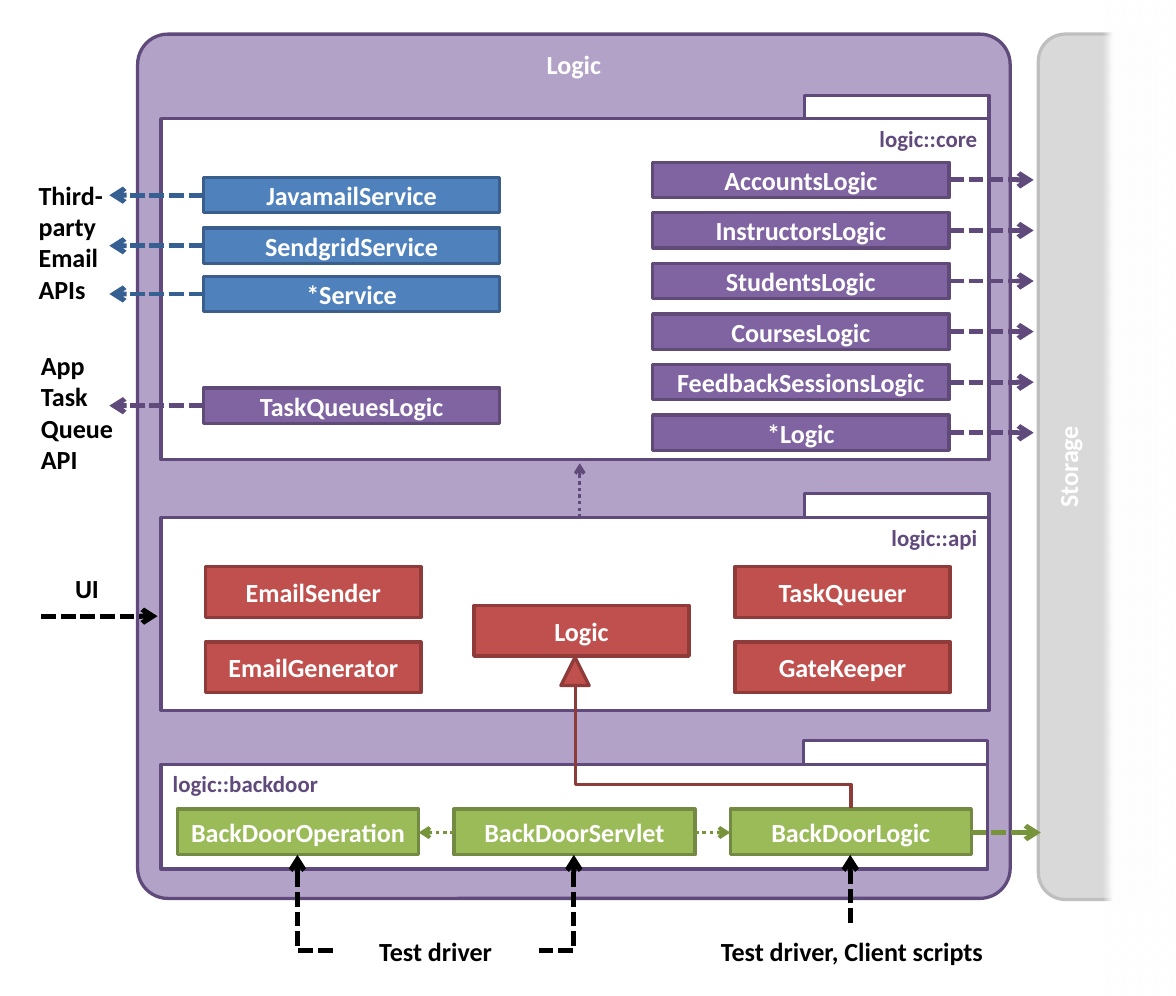
from lxml import etree
from pptx import Presentation
from pptx.dml.color import RGBColor
from pptx.enum.dml import MSO_LINE
from pptx.enum.shapes import MSO_CONNECTOR, MSO_SHAPE
from pptx.enum.text import MSO_ANCHOR, PP_ALIGN
from pptx.oxml.ns import qn
from pptx.util import Emu, Pt

PX = 9144  # 100 px to the inch
FONT = "Calibri"

WHITE = RGBColor(0xFF, 0xFF, 0xFF)
BLACK = RGBColor(0, 0, 0)
LILAC = RGBColor(0xB3, 0xA2, 0xC7)
DEEP_PURPLE = RGBColor(0x60, 0x4A, 0x7B)
STORAGE_GRAY = RGBColor(0xD9, 0xD9, 0xD9)
STORAGE_EDGE = RGBColor(0xBF, 0xBF, 0xBF)
SERVICE_ARROW = RGBColor(0x37, 0x60, 0x92)
GREEN_ARROW = RGBColor(0x77, 0x93, 0x3C)
RED_EDGE = RGBColor(0x8E, 0x3B, 0x39)

# (fill, outline) of each kind of class box
PURPLE = (RGBColor(0x80, 0x64, 0xA2), RGBColor(0x5F, 0x4A, 0x78))
BLUE = (RGBColor(0x4F, 0x81, 0xBD), RGBColor(0x3A, 0x5F, 0x8C))
RED = (RGBColor(0xC0, 0x50, 0x4D), RED_EDGE)
GREEN = (RGBColor(0x9B, 0xBB, 0x59), RGBColor(0x73, 0x8A, 0x42))
PACKAGE = (WHITE, DEEP_PURPLE)

RECT, ROUNDED = MSO_SHAPE.RECTANGLE, MSO_SHAPE.ROUNDED_RECTANGLE
TRIANGLE = MSO_SHAPE.ISOSCELES_TRIANGLE
STRAIGHT, ELBOW = MSO_CONNECTOR.STRAIGHT, MSO_CONNECTOR.ELBOW
DASH, DOT = MSO_LINE.SQUARE_DOT, MSO_LINE.ROUND_DOT
LEFT, CENTER, RIGHT = PP_ALIGN.LEFT, PP_ALIGN.CENTER, PP_ALIGN.RIGHT
TOP, MIDDLE = MSO_ANCHOR.TOP, MSO_ANCHOR.MIDDLE


def px(*lengths):
    return [Emu(length * PX) for length in lengths]


def write(shape, text, color, size=16, align=CENTER, anchor=MIDDLE):
    frame = shape.text_frame
    frame.word_wrap = True
    frame.vertical_anchor = anchor
    frame.text = text
    for paragraph in frame.paragraphs:
        paragraph.alignment = align
        font = paragraph.font
        font.name, font.size, font.bold = FONT, Pt(size), True
        font.color.rgb = color


def block(slide, box, colors, kind=RECT):
    shape = slide.shapes.add_shape(kind, *px(*box))
    shape.shadow.inherit = False
    shape.fill.solid()
    shape.fill.fore_color.rgb, shape.line.color.rgb = colors
    shape.line.width = Pt(2)
    return shape


def class_box(slide, box, name, colors):
    write(block(slide, box, colors), name, WHITE)


def label(slide, box, text, align=LEFT):
    write(slide.shapes.add_textbox(*px(*box)), text, BLACK, align=align)


def link(slide, start, end, color, width=3, dash=DASH, arrow=True, kind=STRAIGHT):
    line = slide.shapes.add_connector(kind, *px(*start, *end))
    line.line.color.rgb = color
    line.line.width = Pt(width)
    if dash:
        line.line.dash_style = dash
    if arrow:
        etree.SubElement(line.line._get_or_add_ln(), qn("a:tailEnd"), type="arrow")
    etree.SubElement(line._element.spPr, qn("a:effectLst"))
    return line


def package(slide, box, name, align=RIGHT):
    """A UML package: a titled body with a tab above its right corner."""
    left, top, width, _ = box
    write(block(slide, box, PACKAGE), name, DEEP_PURPLE, 14, align, TOP)
    block(slide, (left + width - 157, top - 20, 157, 20), PACKAGE)


def logic_component(slide, box):
    body = block(slide, box, (LILAC, DEEP_PURPLE), ROUNDED)
    body.adjustments[0] = 0.035
    write(body, "Logic", WHITE, anchor=TOP)


def storage_component(slide, box):
    """The neighbouring component, fading out on its right half."""
    left, top, width, height = box
    body = block(slide, box, (STORAGE_GRAY, STORAGE_EDGE), ROUNDED)
    body.adjustments[0] = 0.23
    write(body, "Storage", WHITE, anchor=TOP)
    body.text_frame._txBody.bodyPr.set("vert", "vert270")

    fade = slide.shapes.add_shape(RECT, *px(left + width // 2, top - 57, 67, height + 148))
    fade.shadow.inherit = False
    fade.line.fill.background()
    fade.fill.gradient()
    fade.fill.gradient_angle = 0
    stops = fade.fill.gradient_stops
    for stop, position in zip(stops, (0.07, 0.2)):
        stop.color.rgb = WHITE
        stop.position = position
    clear = stops[0]._gs.find(qn("a:srgbClr"))
    etree.SubElement(clear, qn("a:alpha"), val="0")


def core_package(slide, box):
    left, top = box[:2]
    package(slide, box, "logic::core")
    width, height = 252, 30
    middle = height // 2

    entities = ("Accounts", "Instructors", "Students", "Courses", "FeedbackSessions", "*")
    x = left + 418
    for row, entity in enumerate(entities):
        y = top + 37 + row * 43
        class_box(slide, (x, y, width, height), entity + "Logic", PURPLE)
        link(slide, (x + width, y + middle), (x + width + 72, y + middle), DEEP_PURPLE)

    outgoing = (
        (50, "JavamailService", BLUE, SERVICE_ARROW),
        (93, "SendgridService", BLUE, SERVICE_ARROW),
        (134, "*Service", BLUE, SERVICE_ARROW),
        (229, "TaskQueuesLogic", PURPLE, DEEP_PURPLE),
    )
    x = left + 36
    for offset, name, colors, arrow in outgoing:
        y = top + offset
        class_box(slide, (x, y, width, height), name, colors)
        link(slide, (x, y + middle), (x - 80, y + middle), arrow)

    label(slide, (left - 114, top + 81, 85, 47), "Third-party Email\nAPIs")
    label(slide, (left - 112, top + 226, 85, 47), "App\nTask\nQueue\nAPI")


def api_package(slide, box):
    left, top = box[:2]
    package(slide, box, "logic::api")
    facades = (
        (38, 42, "EmailSender"),
        (38, 106, "EmailGenerator"),
        (266, 75, "Logic"),
        (488, 42, "TaskQueuer"),
        (488, 106, "GateKeeper"),
    )
    for x, y, name in facades:
        class_box(slide, (left + x, top + y, 183, 43), name, RED)
    link(slide, (left + 356, top), (left + 356, top - 46), DEEP_PURPLE, 2, DOT)
    label(slide, (left - 110, top + 37, 67, 47), "UI", RIGHT)
    link(slide, (left - 102, top + 84), (left - 3, top + 84), BLACK)


def backdoor_package(slide, box):
    left, top = box[:2]
    package(slide, box, "logic::backdoor", LEFT)
    y, width, height = top + 38, 205, 39
    operation, servlet, logic = (left + 14 + column * 235 for column in range(3))
    names = ("BackDoorOperation", "BackDoorServlet", "BackDoorLogic")
    for x, name in zip((operation, servlet, logic), names):
        class_box(slide, (x, y, width, height), name, GREEN)

    middle = y + 20
    link(slide, (servlet, middle), (operation + width, middle), GREEN_ARROW, 2.25, DOT)
    link(slide, (servlet + width, middle), (logic, middle), GREEN_ARROW, 2.25, DOT)
    link(slide, (logic + width, middle), (logic + width + 59, middle), GREEN_ARROW)

    # Inheritance from BackDoorLogic up to Logic
    block(slide, (left + 340, top - 91, 24, 24), RED, TRIANGLE)
    inherits = link(slide, (left + 522, top - 132), (left + 417, top + 102),
                    RED_EDGE, 2.25, None, False, ELBOW)
    inherits._element.spPr.find(qn("a:xfrm")).set("rot", "16200000")
    guides = inherits._element.spPr.find(qn("a:prstGeom")).get_or_add_avLst()
    etree.SubElement(guides, qn("a:gd"), name="adj1", fmla="val 80600")

    # Callers below the package
    bottom, caller = y + height, y + 120
    label(slide, (left + 146, top + 135, 175, 47), "Test driver", CENTER)
    for start, target in ((left + 146, operation), (left + 321, servlet)):
        call = link(slide, (start, caller), (target + 102, bottom), BLACK, kind=ELBOW)
        call._element.spPr.find(qn("a:prstGeom")).set("prst", "bentConnector2")
    label(slide, (left + 465, top + 135, 244, 47), "Test driver, Client scripts", RIGHT)
    link(slide, (logic + 102, top + 135), (logic + 102, bottom), BLACK)


def main():
    deck = Presentation()
    deck.slide_width, deck.slide_height = px(1000, 847)
    slide = deck.slides.add_slide(deck.slide_layouts[6])
    logic_component(slide, (117, 29, 742, 735))
    storage_component(slide, (883, 29, 100, 736))
    core_package(slide, (137, 101, 704, 290))
    api_package(slide, (137, 440, 704, 164))
    backdoor_package(slide, (137, 650, 703, 89))
    deck.save("out.pptx")


if __name__ == "__main__":
    main()
